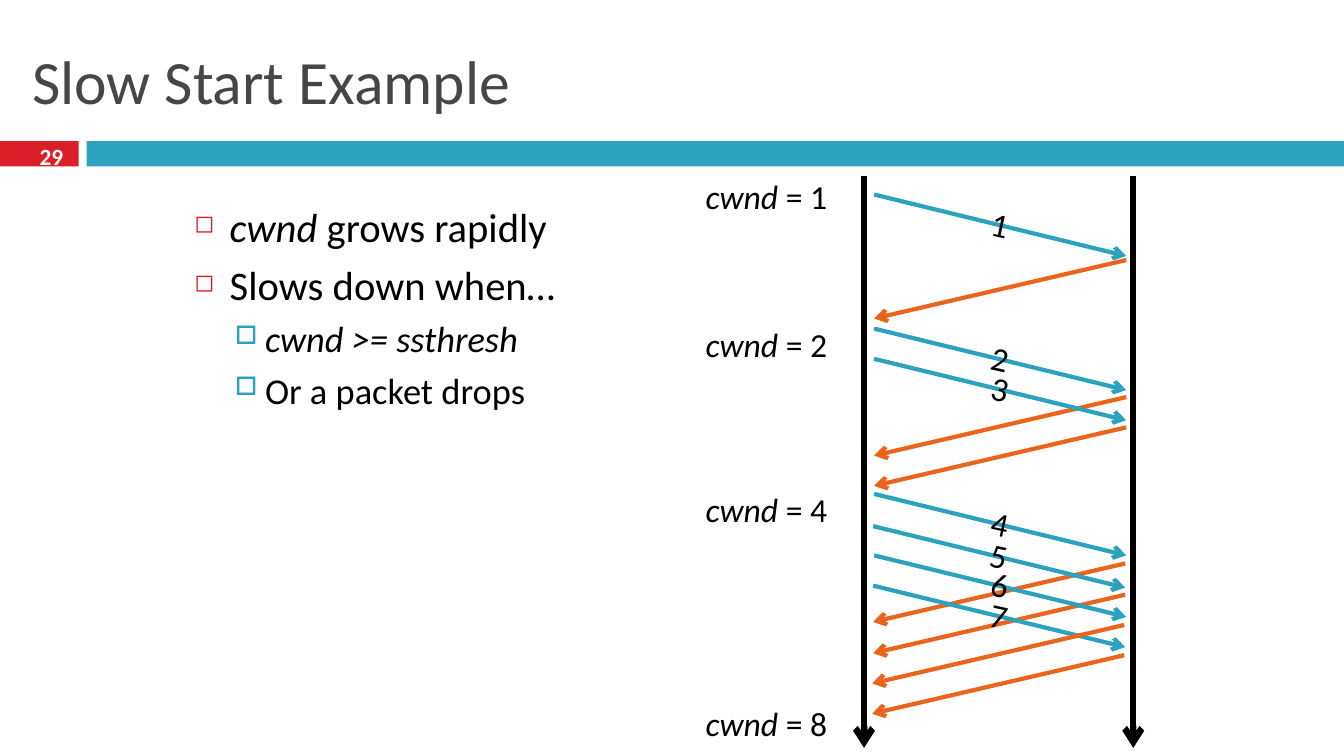
import enum
import pptx
import pptx.dml.color
import pptx.enum.shapes
import pptx.enum.text
import pptx.oxml.ns
import pptx.util
from lxml import etree


class Theme(enum.Enum):
    FONT = "Calibri"
    RED = "DA1F28"
    TEAL = "2DA2BF"
    ORANGE = "EB641B"
    BLACK = "000000"
    WHITE = "FFFFFF"
    GREY = "464646"
    TITLE_SIZE = 44
    BODY_SIZE = 29
    SUB_SIZE = 26
    LABEL_SIZE = 24
    NUMBER_SIZE = 16.6


TITLE = "Slow Start Example"
NUMBER = "29"
BULLETS = [
    (0, [("cwnd", True), (" grows rapidly", False)]),
    (0, [("Slows down when…", False)]),
    (1, [("cwnd >= ssthresh", True)]),
    (1, [("Or a packet drops", False)]),
]
LEVELS = [
    dict(size=Theme.BODY_SIZE, indent=0.35, hang=0.35, gap=7, mark="◻", color=Theme.RED, scale=60),
    dict(size=Theme.SUB_SIZE, indent=0.7, hang=0.3, gap=5.5, mark="□", color=Theme.TEAL, scale=70),
]
WINDOWS = [(1, 1.7), (2, 3.16), (4, 4.8), (8, 6.92)]
PACKETS = [(8.67, 1.93), (8.67, 3.26), (8.67, 3.56), (8.67, 4.9), (8.66, 5.22), (8.67, 5.51), (8.66, 5.81)]
ACKS = [(11.17, 2.58), (11.17, 3.94), (11.17, 4.24), (11.16, 5.59), (11.16, 5.9), (11.15, 6.2), (11.15, 6.5)]
ACKS_BEHIND = 5
HOSTS = [8.57, 11.24]
HOST_TOP, HOST_END = 1.75, 7.42
TRIP, PACKET_DROP, ACK_DROP = 2.5, 0.61, 0.58
LABEL_WIDTH, LABEL_HEIGHT, LABEL_TILT = 1.11, 0.5, 12.3
WIDTH, HEIGHT = 13.33, 7.5
BAR_TOP, BAR_HEIGHT, NUMBER_WIDTH, BAR_LEFT = 1.4, 0.25, 0.78, 0.86

inches = pptx.util.Inches
align = pptx.enum.text.PP_ALIGN
anchor = pptx.enum.text.MSO_ANCHOR

deck = pptx.Presentation()
deck.slide_width, deck.slide_height = inches(WIDTH), inches(HEIGHT)
page = deck.slides.add_slide(deck.slide_layouts[6])


def rgb(color):
    return pptx.dml.color.RGBColor.from_string(color.value)


def child(parent, tag, **attributes):
    return etree.SubElement(parent, pptx.oxml.ns.qn(tag), attributes)


def add_bar(left, width, color):
    bar = page.shapes.add_shape(
        pptx.enum.shapes.MSO_SHAPE.RECTANGLE,
        inches(left), inches(BAR_TOP), inches(width), inches(BAR_HEIGHT))
    bar.shadow.inherit = False
    bar.fill.solid()
    bar.fill.fore_color.rgb = rgb(color)
    bar.line.fill.background()


def add_arrow(start, end, color, weight):
    arrow = page.shapes.add_connector(
        pptx.enum.shapes.MSO_CONNECTOR.STRAIGHT, *map(inches, start + end))
    arrow.line.color.rgb = rgb(color)
    arrow.line.width = pptx.util.Pt(weight)
    child(arrow.line._get_or_add_ln(), "a:tailEnd", type="arrow")
    child(arrow._element.spPr, "a:effectLst")


def add_span(para, text, size, color=Theme.BLACK, italic=False, bold=False):
    span = para.add_run()
    span.text = text
    span.font.name = Theme.FONT.value
    span.font.size = pptx.util.Pt(size.value)
    span.font.color.rgb = rgb(color)
    span.font.italic = italic
    span.font.bold = bold


def add_box(left, top, width, height, middle=False, wrap=True):
    box = page.shapes.add_textbox(*map(inches, (left, top, width, height)))
    box.text_frame.word_wrap = wrap
    box.text_frame.vertical_anchor = anchor.MIDDLE if middle else anchor.TOP
    return box, box.text_frame.paragraphs[0]


def add_ack(left, top):
    add_arrow((left, top), (left - TRIP, top + ACK_DROP), Theme.ORANGE, 3)


add_bar(0, NUMBER_WIDTH, Theme.RED)
add_bar(BAR_LEFT, WIDTH - BAR_LEFT, Theme.TEAL)
box, para = add_box(0.22, 0.25, 12.89, 1.08, middle=True)
add_span(para, TITLE, Theme.TITLE_SIZE, Theme.GREY)
box, para = add_box(0.22, 1.38, 0.58, 0.33, middle=True)
para.alignment = align.CENTER
add_span(para, NUMBER, Theme.NUMBER_SIZE, Theme.WHITE, bold=True)

for ack in ACKS[:ACKS_BEHIND]:
    add_ack(*ack)
for host in HOSTS:
    add_arrow((host, HOST_TOP), (host, HOST_END), Theme.BLACK, 4.5)
for number, (left, top) in enumerate(PACKETS, 1):
    add_arrow((left, top), (left + TRIP, top + PACKET_DROP), Theme.TEAL, 3)
    box, para = add_box(left + (TRIP - LABEL_WIDTH) / 2, top + 0.04, LABEL_WIDTH, LABEL_HEIGHT)
    box.rotation = LABEL_TILT
    para.alignment = align.CENTER
    add_span(para, str(number), Theme.LABEL_SIZE)
for ack in ACKS[ACKS_BEHIND:]:
    add_ack(*ack)

for window, top in WINDOWS:
    box, para = add_box(6.9, top, 1.45, LABEL_HEIGHT, wrap=False)
    add_span(para, "cwnd", Theme.LABEL_SIZE, italic=True)
    add_span(para, f" = {window}", Theme.LABEL_SIZE)

box, para = add_box(1.83, 1.95, 4.62, 5.38)
for index, (depth, spans) in enumerate(BULLETS):
    level = LEVELS[depth]
    if index:
        para = box.text_frame.add_paragraph()
        para.space_before = pptx.util.Pt(level["gap"])
    para.level = depth
    properties = para._p.get_or_add_pPr()
    properties.set("marL", str(inches(level["indent"])))
    properties.set("indent", str(-inches(level["hang"])))
    child(child(properties, "a:buClr"), "a:srgbClr", val=level["color"].value)
    child(properties, "a:buSzPct", val=str(level["scale"] * 1000))
    child(properties, "a:buChar", char=level["mark"])
    for text, italic in spans:
        add_span(para, text, level["size"], italic=italic)

deck.save("out.pptx")
